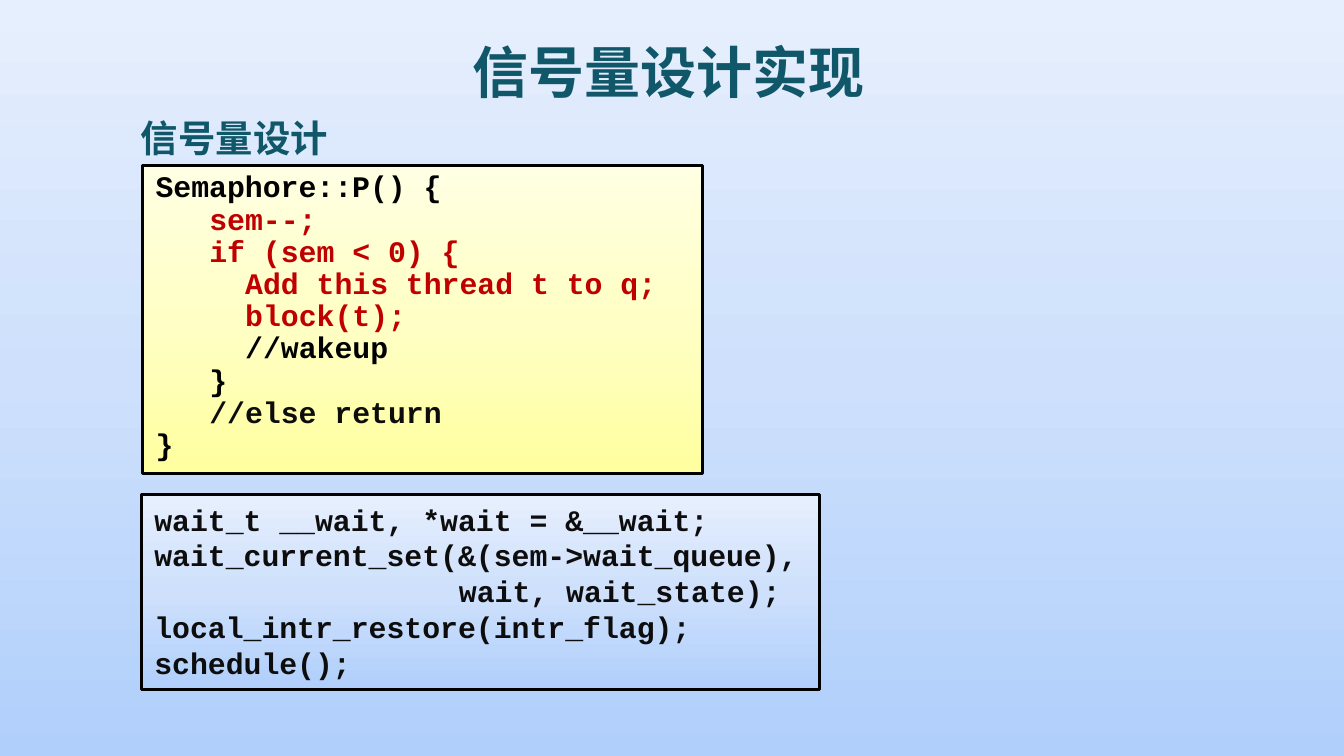
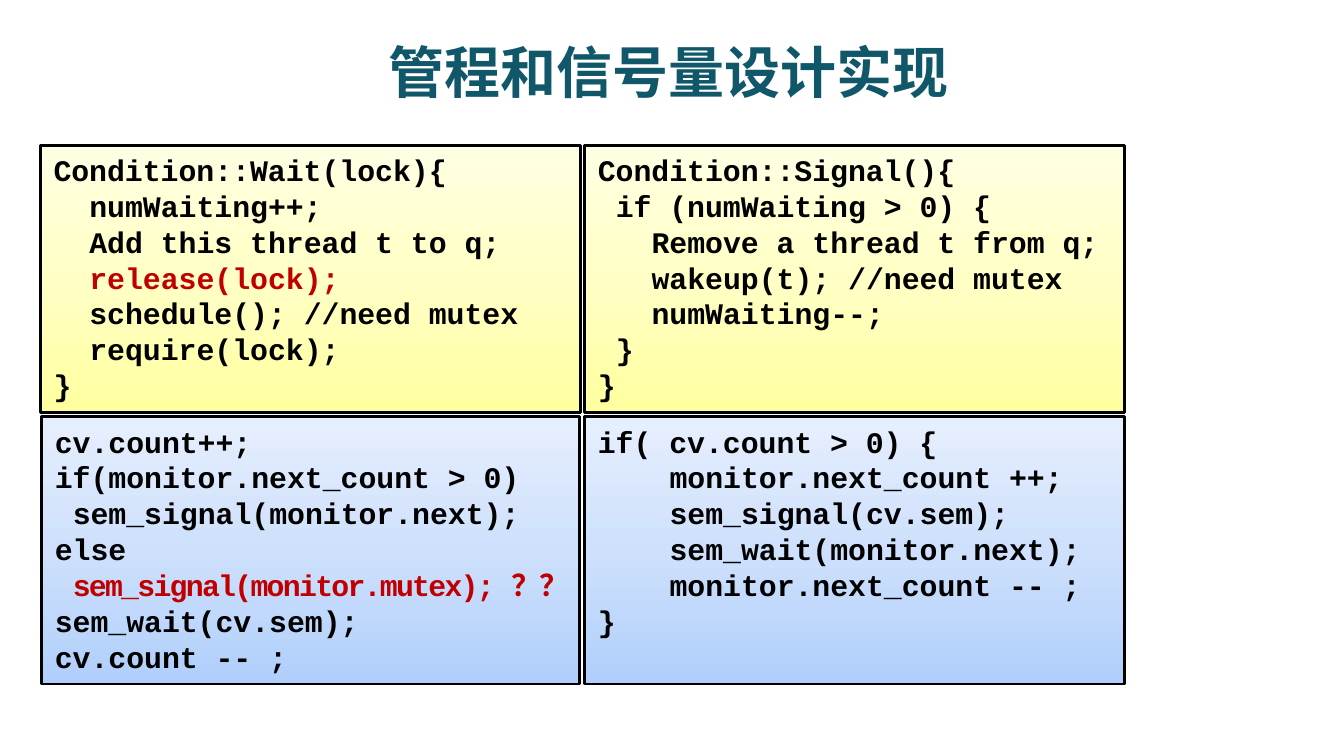
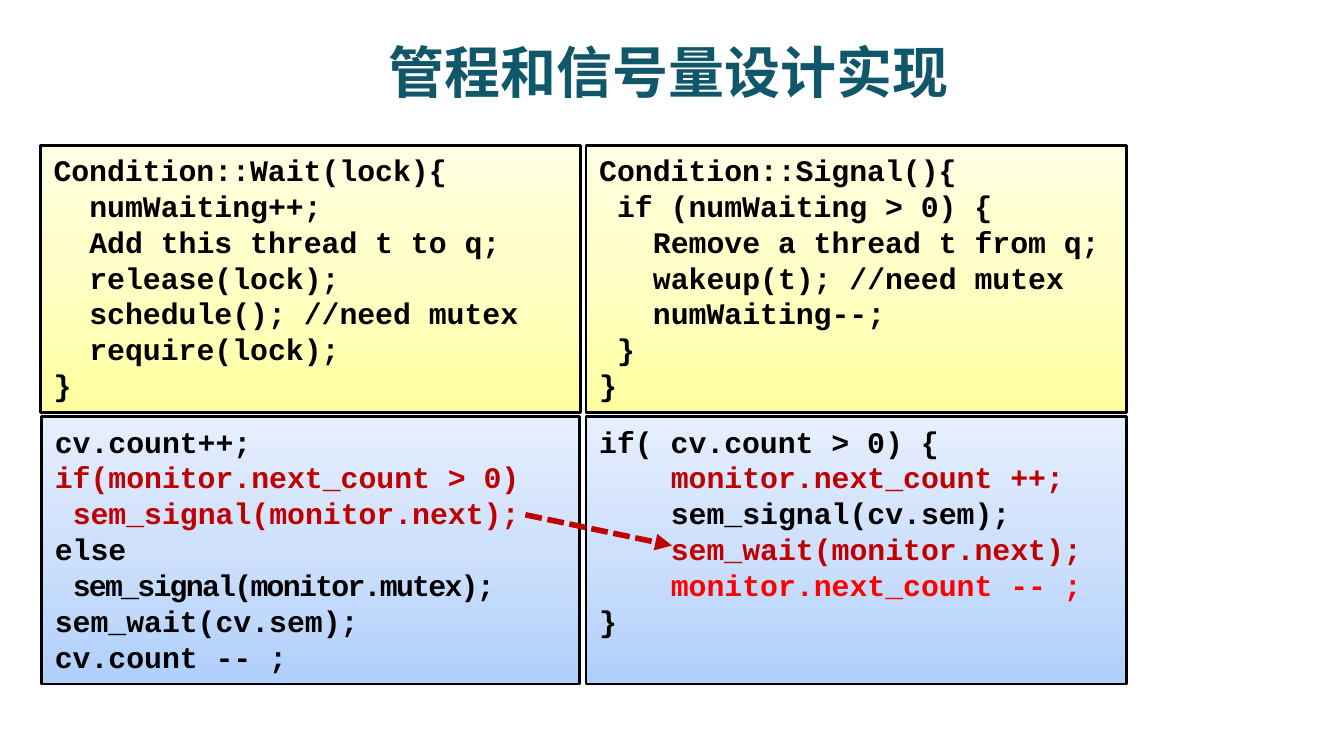
import copy

import pptx
import pptx.dml.color
import pptx.enum.shapes
import pptx.enum.text
import pptx.oxml.ns
import pptx.oxml.xmlchemy
import pptx.util
from lxml import etree

Pt = pptx.util.Pt
RGBColor = pptx.dml.color.RGBColor
qn = pptx.oxml.ns.qn

TEAL = RGBColor(0x11, 0x57, 0x6A)
BLACK = RGBColor(0x00, 0x00, 0x00)
INK = RGBColor(0x0D, 0x0D, 0x0D)
DARK_RED = RGBColor(0xC0, 0x00, 0x00)
RED = RGBColor(0xFF, 0x00, 0x00)
BLUE_BAND = (RGBColor(0xB0, 0xCF, 0xFB), RGBColor(0xCE, 0xE0, 0xFC), RGBColor(0xE6, 0xEF, 0xFD))
YELLOW_BAND = (RGBColor(0xFF, 0xFF, 0xA0), RGBColor(0xFF, 0xFF, 0xC5), RGBColor(0xFF, 0xFF, 0xE3))

CODE_FONT = "Courier New"
CODE_SIZE = 16
CHARACTER_WIDTH = 0.6 * CODE_SIZE
TITLE_BOX = (34, 18, 648, 40)
GRID_BOX = (21.6, 77.8, 289.4, 143.3)

SEMAPHORE_P = (
    "Semaphore::P() {",
    "   sem--;",
    "   if (sem < 0) {",
    "     Add this thread t to q;",
    "     block(t);",
    "     //wakeup",
    "   }",
    "   //else return",
    "}",
)
SEMAPHORE_WAIT = (
    "wait_t __wait, *wait = &__wait;",
    "wait_current_set(&(sem->wait_queue),",
    "                 wait, wait_state);",
    "local_intr_restore(intr_flag);",
    "schedule();",
)
CONDITION_WAIT = (
    "Condition::Wait(lock){",
    "  numWaiting++;",
    "  Add this thread t to q;",
    "  release(lock);",
    "  schedule(); //need mutex",
    "  require(lock);",
    "}",
)
CONDITION_SIGNAL = (
    "Condition::Signal(){",
    " if (numWaiting > 0) {",
    "   Remove a thread t from q;",
    "   wakeup(t); //need mutex",
    "   numWaiting--;",
    " }",
    "}",
)
SIGNAL_CODE = (
    "if( cv.count > 0) {",
    "    monitor.next_count ++;",
    "    sem_signal(cv.sem);",
    "    sem_wait(monitor.next);",
    "    monitor.next_count -- ;",
    "}",
)
MUTEX_LINE = 4


def wait_code(question=""):
    return (
        "cv.count++;",
        "if(monitor.next_count > 0)",
        " sem_signal(monitor.next);",
        "else",
        " sem_signal(monitor.mutex);" + question,
        "sem_wait(cv.sem);",
        "cv.count -- ;",
    )


def points(box):
    return [Pt(length) for length in box]


def set_font(para, name, size, color):
    font = para.font
    font.name, font.size, font.bold = name, Pt(size), True
    font.color.rgb = color
    properties = para._p.pPr.find(qn("a:defRPr"))
    east_asian = etree.Element(qn("a:ea"), typeface=name)
    properties.find(qn("a:latin")).addnext(east_asian)
    return properties


def paint_gradient(fill, owner, colors):
    fill.gradient()
    fill.gradient_angle = 90
    first, last = fill.gradient_stops
    first.color.rgb, last.color.rgb = colors[0], colors[2]
    first.position, last.position = 0, 1
    start = owner.find(".//" + qn("a:gsLst"))[0]
    start.addnext(copy.deepcopy(start))
    middle = fill.gradient_stops[1]
    middle.color.rgb, middle.position = colors[1], 0.5


def add_page(deck, title):
    page = deck.slides.add_slide(deck.slide_layouts[5])
    holder = page.shapes.title
    holder.left, holder.top, holder.width, holder.height = points(TITLE_BOX)
    frame = holder.text_frame
    frame.text = title
    frame.auto_size = pptx.enum.text.MSO_AUTO_SIZE.NONE
    frame.vertical_anchor = pptx.enum.text.MSO_ANCHOR.MIDDLE
    para = frame.paragraphs[0]
    para.alignment = pptx.enum.text.PP_ALIGN.CENTER
    set_font(para, "Noto Sans CJK SC", 30, TEAL)
    return page


def add_heading(page, box, text):
    frame = page.shapes.add_textbox(*points(box)).text_frame
    frame.word_wrap = False
    frame.text = text
    set_font(frame.paragraphs[0], "Noto Sans CJK JP", 20, TEAL)


def add_code(page, box, band, lines, color=BLACK, accents=None, tight_line=None, spacing=None):
    accents = accents or {}
    panel = page.shapes.add_shape(pptx.enum.shapes.MSO_SHAPE.RECTANGLE, *points(box))
    panel.shadow.inherit = False
    paint_gradient(panel.fill, panel._element, band)
    panel.line.color.rgb = BLACK
    panel.line.width = Pt(1.5)
    frame = panel.text_frame
    frame.word_wrap = True
    frame.vertical_anchor = pptx.enum.text.MSO_ANCHOR.TOP
    for number, line in enumerate(lines):
        para = frame.add_paragraph() if number else frame.paragraphs[0]
        code = line.lstrip(" ")
        para.text = code
        para.alignment = pptx.enum.text.PP_ALIGN.LEFT
        para.line_spacing = spacing
        properties = set_font(para, CODE_FONT, CODE_SIZE, accents.get(number, color))
        indent = Pt((len(line) - len(code)) * CHARACTER_WIDTH)
        para._p.pPr.set("marL", str(indent))
        para._p.pPr.set("indent", "0")
        if number == tight_line:
            properties.set("spc", "-90")


def add_dashed_arrow(page, start, end):
    arrow = page.shapes.add_connector(
        pptx.enum.shapes.MSO_CONNECTOR.STRAIGHT, *points(start + end))
    arrow.line.color.rgb = DARK_RED
    arrow.line.width = Pt(3)
    outline = arrow.line._get_or_add_ln()
    etree.SubElement(outline, qn("a:prstDash"), val="sysDash")
    etree.SubElement(outline, qn("a:tailEnd"), type="triangle")
    etree.SubElement(arrow._element.spPr, qn("a:effectLst"))


def add_semaphore_page(deck):
    page = add_page(deck, "信号量设计实现")
    paint_gradient(page.background.fill, page._element, BLUE_BAND)
    add_code(page, (75.6, 265, 363.6, 104.4), BLUE_BAND, SEMAPHORE_WAIT, color=INK)
    accents = {line: DARK_RED for line in range(1, 5)}
    accents[7] = INK
    add_code(page, (76.3, 88.6, 300.2, 164.9), YELLOW_BAND, SEMAPHORE_P,
             accents=accents, spacing=0.9)
    add_heading(page, (68.4, 58.3, 115, 32), "信号量设计")


def add_monitor_page(deck, box, gap, question="", wait_accents=None,
                     mutex_accents=None, signal_accents=None):
    page = add_page(deck, "管程和信号量设计实现")
    left, top, width, height = box
    right = left + width + gap
    bottom = top + height + 2.1
    add_code(page, (left, top, width, height), YELLOW_BAND, CONDITION_WAIT,
             accents=wait_accents)
    add_code(page, (left + 0.7, bottom, width - 1.4, height), BLUE_BAND, wait_code(question),
             accents=mutex_accents, tight_line=MUTEX_LINE)
    add_code(page, (right, top, width, height), YELLOW_BAND, CONDITION_SIGNAL)
    add_code(page, (right, bottom, width, height), BLUE_BAND, SIGNAL_CODE,
             accents=signal_accents)
    return page


def main():
    deck = pptx.Presentation()
    deck.slide_width, deck.slide_height = Pt(720), Pt(405)
    add_semaphore_page(deck)
    add_monitor_page(deck, GRID_BOX, 2.2, question=" ？？",
                     wait_accents={3: DARK_RED}, mutex_accents={MUTEX_LINE: DARK_RED})
    page = add_monitor_page(deck, GRID_BOX, 2.9,
                            mutex_accents={1: DARK_RED, 2: DARK_RED},
                            signal_accents={1: DARK_RED, 3: DARK_RED, 4: RED})
    add_dashed_arrow(page, (281.5, 275.8), (360, 292.3))
    deck.save("out.pptx")


if __name__ == "__main__":
    main()
